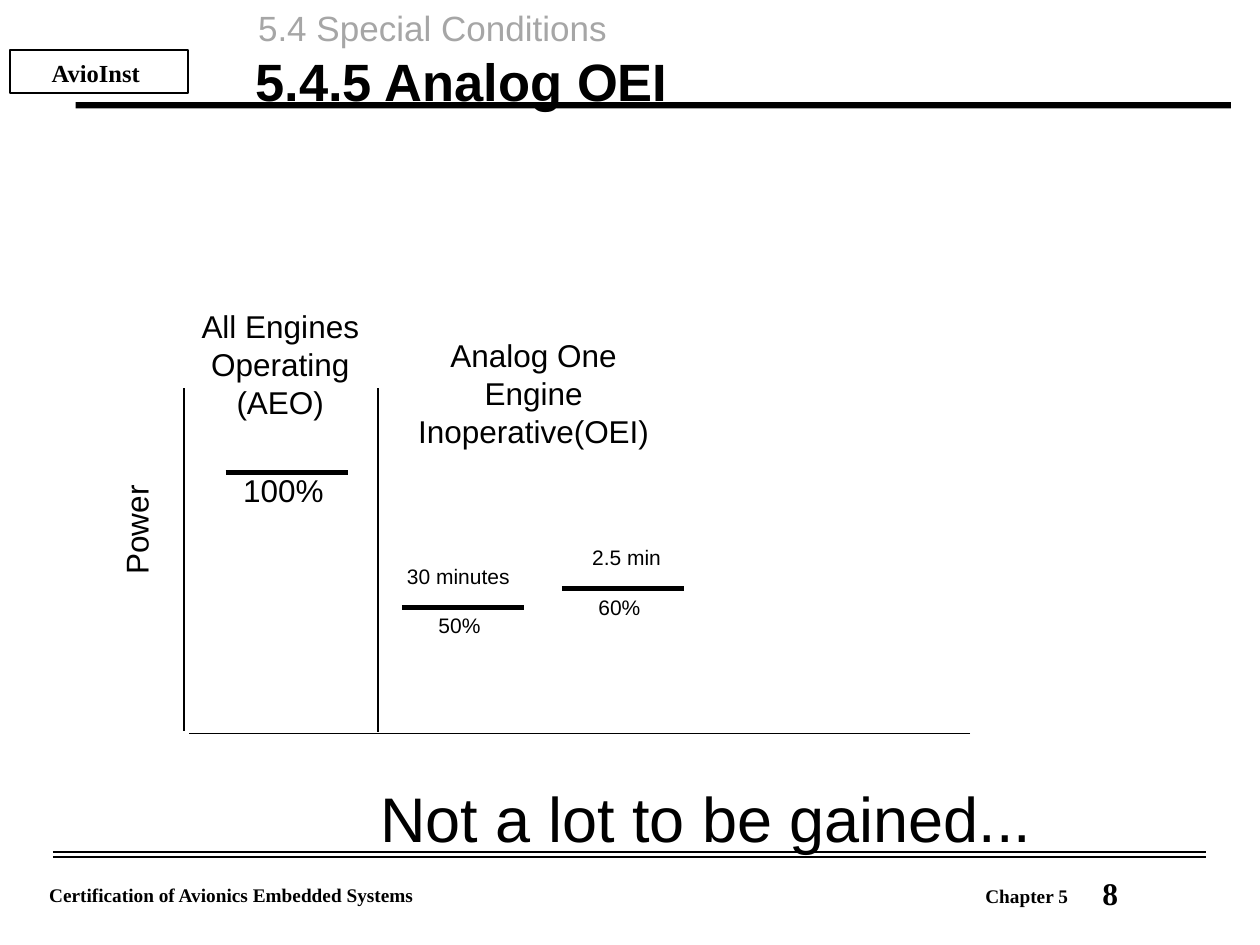
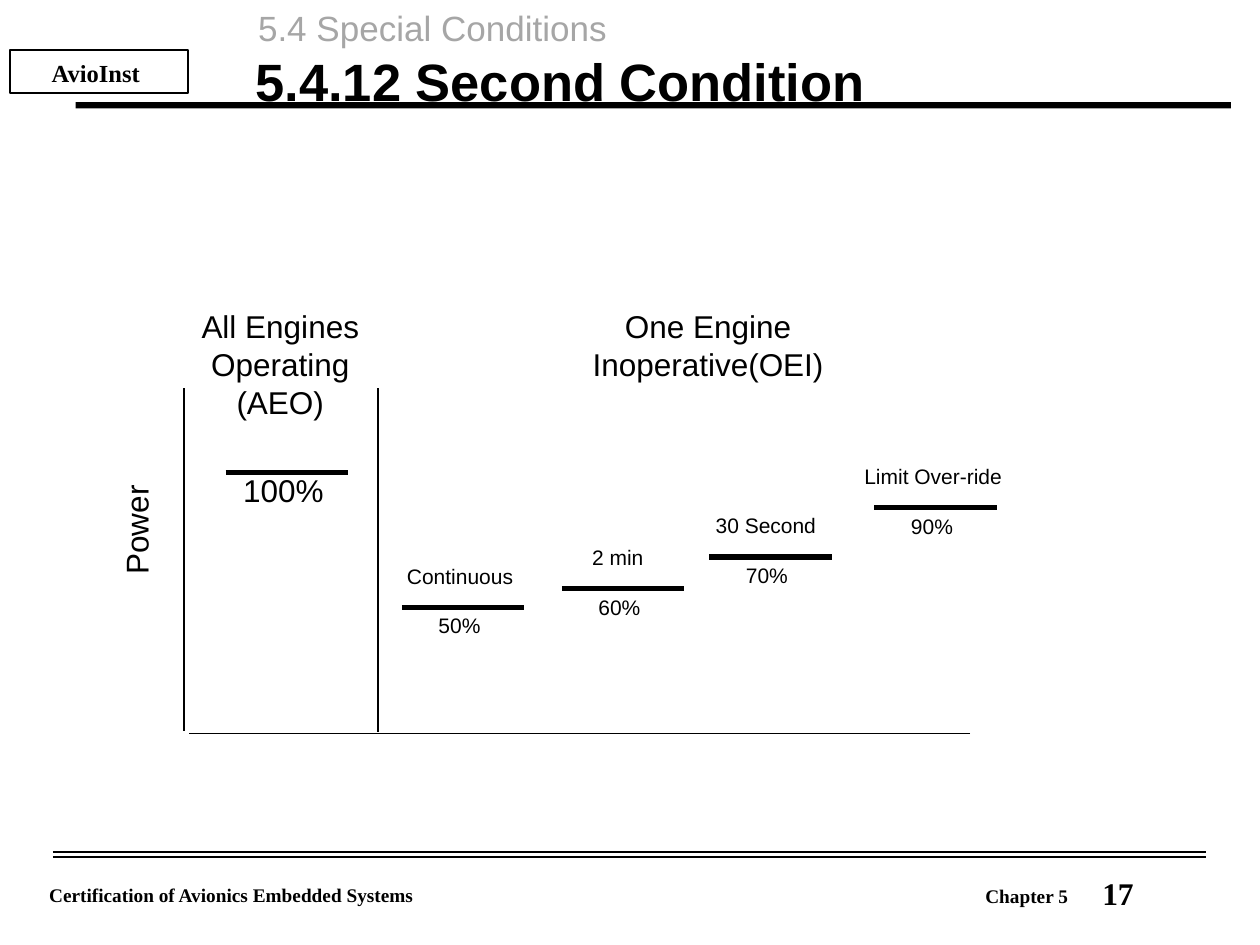
"""Build two slides that compare engine power ratings with all engines and with one engine inoperative."""
from lxml.etree import SubElement
from pptx import Presentation
from pptx.dml.color import RGBColor
from pptx.enum.shapes import MSO_CONNECTOR, MSO_SHAPE
from pptx.enum.text import PP_ALIGN
from pptx.oxml.ns import qn
from pptx.util import Inches, Pt

COLOURS = {"ink": "000000", "paper": "FFFFFF", "muted": "A6A6A6"}
SERIF = {"name": "Times New Roman", "bold": True}
SANS = {"name": "Arial", "bold": False}
BAND_INSETS = (0.9, 0.5)
CHART_INSETS = (0.4, 0)

FORMATS = {
    "page": {"font": {**SERIF, "size": Pt(18)}, "paragraph": {"line_spacing": 0.9}, "insets": (1, 0.5)},
    "badge": {"font": {**SERIF, "size": Pt(14)}, "paragraph": {"alignment": PP_ALIGN.CENTER}, "insets": BAND_INSETS},
    "section": {"font": {**SANS, "size": Pt(20)}, "insets": (1, 0.5), "colour": "muted"},
    "footer": {"font": {**SERIF, "size": Pt(11)}, "insets": BAND_INSETS},
    "title": {"font": {**SANS, "size": Pt(30), "bold": True}, "paragraph": {"line_spacing": 1.08}, "insets": (1, 0.5)},
    "axis": {"font": {**SANS, "size": Pt(18)}, "insets": CHART_INSETS},
    "heading": {"font": {**SANS, "size": Pt(18)}, "paragraph": {"alignment": PP_ALIGN.CENTER}, "insets": CHART_INSETS},
    "label": {"font": {**SANS, "size": Pt(12)}, "insets": CHART_INSETS},
    "remark": {"font": {**SANS, "size": Pt(36)}, "insets": CHART_INSETS},
}

presentation = Presentation()
presentation.slide_width = Inches(10)
presentation.slide_height = Inches(7.5)
UNIT = presentation.slide_width // 100


def add_text(slide, text, format_name, column, row, columns, rows):
    """Add a formatted text box placed on the grid of 100 columns and 75 rows."""
    values = FORMATS[format_name]
    shape = slide.shapes.add_textbox(*[round(n * UNIT) for n in (column, row, columns, rows)])
    side, top = [round(n * UNIT) for n in values["insets"]]
    frame = shape.text_frame
    paragraph = frame.paragraphs[0]
    paragraph.text = text
    frame_values = {"word_wrap": True, "margin_left": side, "margin_right": side,
                    "margin_top": top, "margin_bottom": top}
    for target, settings in ((frame, frame_values), (paragraph, values.get("paragraph", {})),
                             (paragraph.runs[0].font, values["font"])):
        for name, value in settings.items():
            setattr(target, name, value)
    paragraph.runs[0].font.color.rgb = RGBColor.from_string(COLOURS[values.get("colour", "ink")])
    return shape


def add_line(slide, start_column, start_row, end_column, end_row, weight):
    """Add a straight line between two grid points."""
    points = [round(n * UNIT) for n in (start_column, start_row, end_column, end_row)]
    connector = slide.shapes.add_connector(MSO_CONNECTOR.STRAIGHT, *points)
    connector.line.color.rgb = RGBColor.from_string(COLOURS["ink"])
    connector.line.width = Pt(weight)
    SubElement(connector._element.spPr, qn("a:effectLst"))


SLIDES = [
    {"page": "8", "title": "5.4.5 Analog OEI",
     "heading": ("Analog One Engine Inoperative(OEI)", 32.7, 26.7, 19.3, 12.6),
     "steps": [("30 minutes", "50%", 31.9, 48.2, 0), ("2.5 min", "60%", 44.6, 46.7, 2)],
     "remark": "Not a lot to be gained..."},
    {"page": "17", "title": "5.4.12 Second Condition",
     "heading": ("One Engine Inoperative(OEI)", 44.3, 24.4, 23.8, 9.7),
     "steps": [("Continuous", "50%", 31.9, 48.2, 0), ("2 min", "60%", 44.6, 46.7, 2),
               ("30 Second", "70%", 56.3, 44.2, 0.1), ("Limit Over-ride", "90%", 69.4, 40.3, -1.2)],
     "remark": None},
]
BAND_SHAPES = [(0.8, 4, 14.1, 3.4, "paper"), (6, 8.1, 91.7, 0.5, "ink")]
BAND_TEXTS = [
    ("AvioInst", "badge", -2, 4.1, 19.2, 3.3),
    ("5.4 Special Conditions", "section", 19.5, 0, 55, 4.4),
    ("Certification of Avionics Embedded Systems", "footer", 3, 69.6, 42, 2.8),
    ("Chapter 5", "footer", 77.3, 69.7, 10.3, 2.8),
]
FOOTER_RULES = [67.6, 68]
CHART_AXES = [(14.6, 30.8, 14.6, 58), (30, 30.8, 30, 58.1), (77, 58.2, 15, 58.2)]
STEP_COLUMNS = 9.7

for content in SLIDES:
    slide = presentation.slides.add_slide(presentation.slide_layouts[6])

    for column, row, columns, rows, colour in BAND_SHAPES:
        box = [round(n * UNIT) for n in (column, row, columns, rows)]
        shape = slide.shapes.add_shape(MSO_SHAPE.RECTANGLE, *box)
        shape.shadow.inherit = False
        shape.fill.solid()
        shape.fill.fore_color.rgb = RGBColor.from_string(COLOURS[colour])
        if colour == "paper":
            shape.line.color.rgb = RGBColor.from_string(COLOURS["ink"])
            shape.line.width = Pt(1)
        else:
            shape.line.fill.background()
    for band_text in BAND_TEXTS:
        add_text(slide, *band_text)
    for row in FOOTER_RULES:
        add_line(slide, 4.2, row, 95.7, row, 1)
    add_text(slide, content["page"], "page", 86.5, 69.2, 13.3, 3.7)
    add_text(slide, content["title"], "title", 19.3, 3, 75.7, 12.5)

    for axis in CHART_AXES:
        add_line(slide, *axis, 0.75)
    add_text(slide, "Power", "axis", 6.4, 39.2, 9.7, 3.9).rotation = 270
    add_text(slide, "All Engines Operating (AEO)", "heading", 14.6, 24.4, 15.3, 9.7)
    add_line(slide, 17.9, 37.5, 17.9 + STEP_COLUMNS, 37.5, 3)
    add_text(slide, "100%", "axis", 18.9, 37.4, 8, 3)

    heading, *heading_box = content["heading"]
    add_text(slide, heading, "heading", *heading_box)
    for duration, power, column, row, label_shift in content["steps"]:
        add_line(slide, column, row, column + STEP_COLUMNS, row, 3)
        add_text(slide, power, "label", column + 2.5, row + 0.45, 4.7, 2)
        add_text(slide, duration, "label", column + label_shift, row - 3.5, 12.3, 2)
    if content["remark"]:
        add_text(slide, content["remark"], "remark", 29.8, 61.9, 54, 6)

presentation.save("out.pptx")
